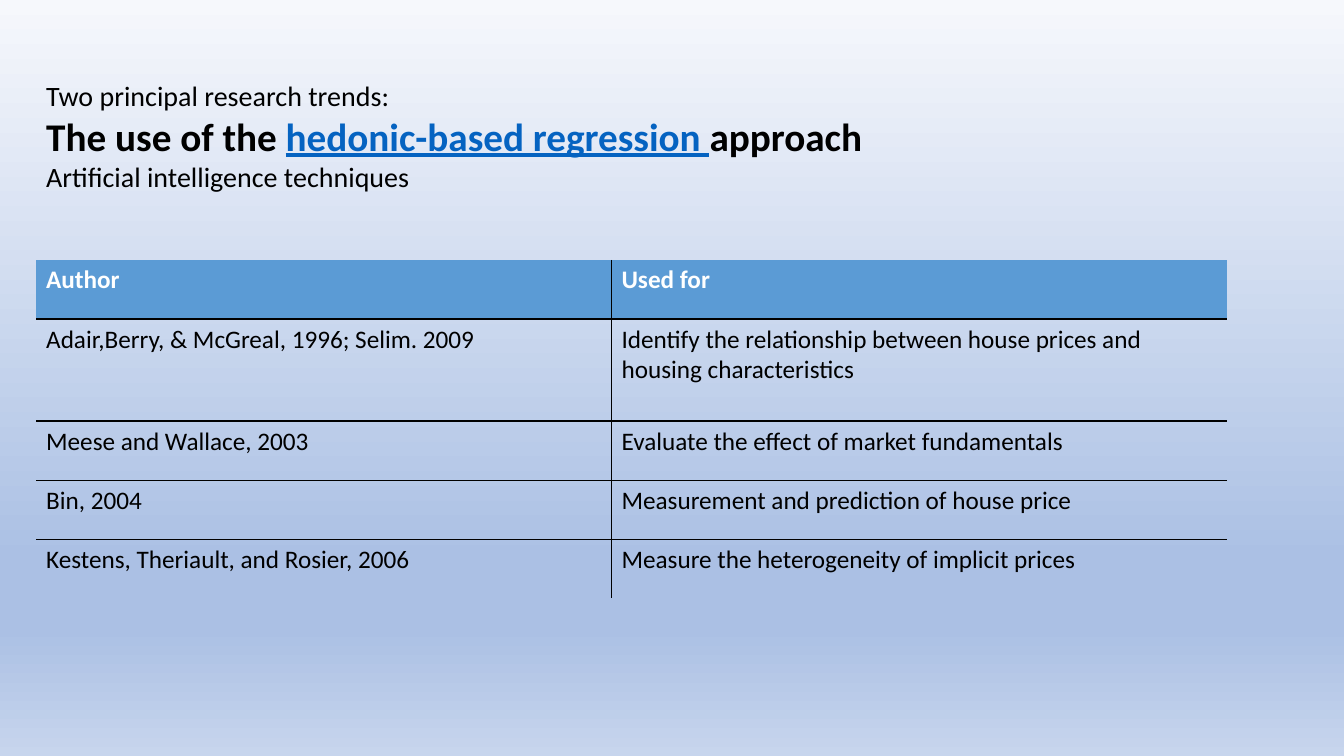
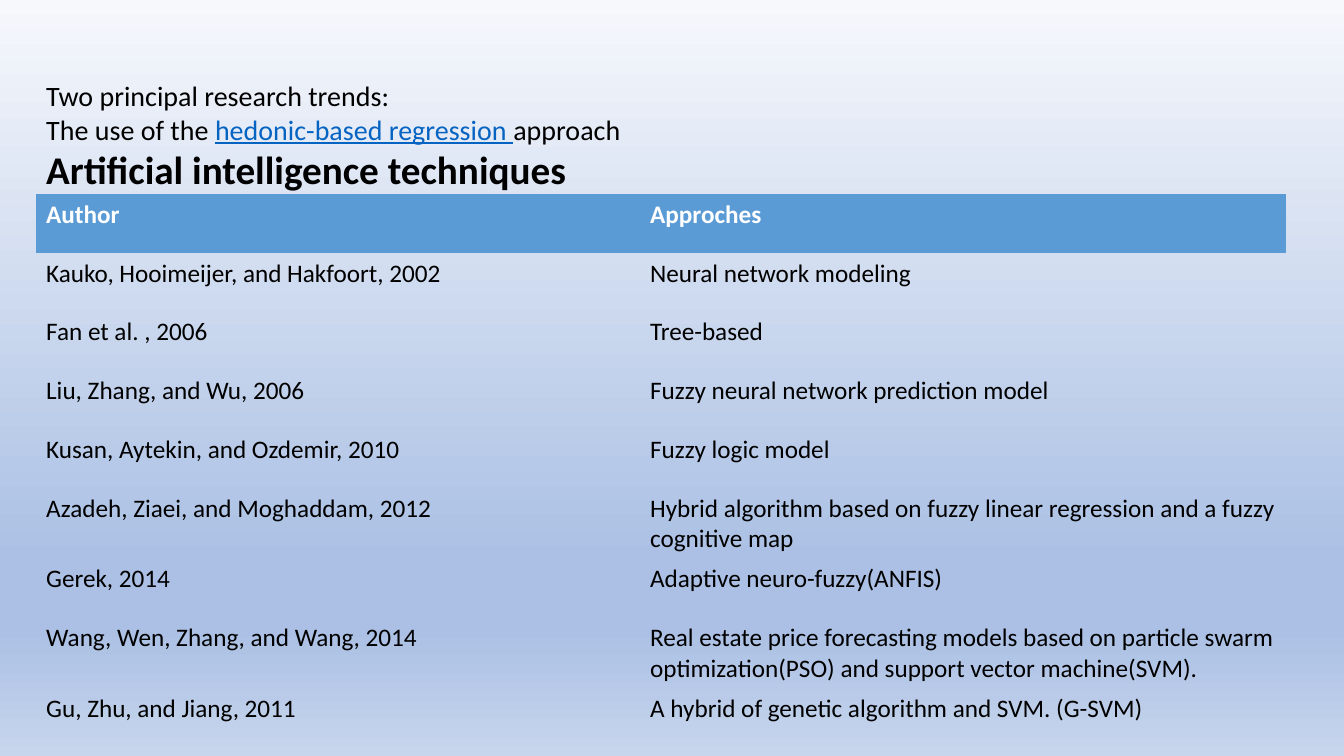
from copy import deepcopy

from lxml.etree import SubElement
from pptx import Presentation
from pptx.dml.color import RGBColor
from pptx.enum.text import MSO_ANCHOR, MSO_AUTO_SIZE, PP_ALIGN
from pptx.oxml.ns import qn
from pptx.util import Cm, Pt

# Shared style
FONT = "Calibri"
BLACK, WHITE, LINK_BLUE, HEADER_BLUE = "000000", "FFFFFF", "0563C1", "5B9BD5"
BACKGROUND_STOPS = [(0, "F6F8FC"), (0.74, "ABC0E4"), (0.83, "ABC0E4"), (1, "C7D5ED")]
NO_GRID_STYLE = "{2D5ABB26-0587-4C30-8999-92F81FD0307C}"
LEFT = 0.91

# Heading lines: runs of (text, shown as a link)
TRENDS = [
    [("Two principal research trends:", False)],
    [("The use of the ", False), ("hedonic-based regression ", True), ("approach", False)],
    [("Artificial intelligence techniques", False)],
]
HEDONIC, INTELLIGENCE = 1, 2

HEDONIC_STUDIES = [
    ("Author", "Used for"),
    ("Adair,Berry, & McGreal, 1996; Selim. 2009",
     "Identify the relationship between house prices and housing characteristics"),
    ("Meese and Wallace, 2003", "Evaluate the effect of market fundamentals"),
    ("Bin, 2004", "Measurement and prediction of house price"),
    ("Kestens, Theriault, and Rosier, 2006", "Measure the heterogeneity of implicit prices"),
]
INTELLIGENCE_STUDIES = [
    ("Author", "Approches"),
    ("Kauko, Hooimeijer, and Hakfoort, 2002", "Neural network modeling"),
    ("Fan et al. , 2006", "Tree-based"),
    ("Liu, Zhang, and Wu, 2006", "Fuzzy neural network prediction model"),
    ("Kusan, Aytekin, and Ozdemir, 2010", "Fuzzy logic model"),
    ("Azadeh, Ziaei, and Moghaddam, 2012",
     "Hybrid algorithm based on fuzzy linear regression and a fuzzy cognitive map"),
    ("Gerek, 2014", "Adaptive neuro-fuzzy(ANFIS)"),
    ("Wang, Wen, Zhang, and Wang, 2014",
     "Real estate price forecasting models based on particle swarm "
     "optimization(PSO) and support vector machine(SVM)."),
    ("Gu, Zhu, and Jiang, 2011", "A hybrid of genetic algorithm and SVM. (G-SVM)"),
]


def color(hex_code):
    return RGBColor.from_string(hex_code)


def format_run(run, size, hex_code=BLACK, bold=False, underline=False):
    font = run.font
    font.name, font.size = FONT, Pt(size)
    font.bold, font.underline = bold, underline
    font.color.rgb = color(hex_code)


def set_background(master):
    """Give every slide the same vertical gradient."""
    fill = master.background.fill
    fill.gradient()
    fill.gradient_angle = 270
    stop_list = master.element.find(".//" + qn("a:gsLst"))
    while len(stop_list) < len(BACKGROUND_STOPS):
        stop_list.append(deepcopy(stop_list[0]))
    for stop, (position, hex_code) in zip(fill.gradient_stops, BACKGROUND_STOPS):
        stop.position = position
        stop.color.rgb = color(hex_code)


def add_heading(slide, current_trend):
    """List the trends, with the current one large and bold."""
    heading = slide.shapes.title
    heading.left, heading.top = Cm(LEFT), Cm(1.85)
    heading.width, heading.height = Cm(26.92), Cm(3.18)
    frame = heading.text_frame
    frame.word_wrap = True
    frame.auto_size = MSO_AUTO_SIZE.SHAPE_TO_FIT_TEXT
    frame.vertical_anchor = MSO_ANCHOR.TOP
    for index, parts in enumerate(TRENDS):
        line = frame.paragraphs[0] if index == 0 else frame.add_paragraph()
        line.alignment = PP_ALIGN.LEFT
        current = index == current_trend
        for text, linked in parts:
            run = line.add_run()
            run.text = text
            format_run(run, 28 if current else 20,
                       LINK_BLUE if linked else BLACK, current, linked)


def add_border(cell, side):
    line = SubElement(cell._tc.get_or_add_tcPr(), qn("a:ln" + side), w=str(Pt(1)))
    fill = SubElement(line, qn("a:solidFill"))
    SubElement(fill, qn("a:srgbClr"), val=BLACK)


def add_inner_borders(table):
    last_row, last_column = len(table.rows) - 1, len(table.columns) - 1
    for r in range(last_row + 1):
        for c in range(last_column + 1):
            inner = {"L": c > 0, "R": c < last_column, "T": r > 0, "B": r < last_row}
            for side, shown in inner.items():
                if shown:
                    add_border(table.cell(r, c), side)


def add_studies(slide, studies, top, widths, heights, ruled=False):
    frame = slide.shapes.add_table(len(studies), len(widths), Cm(LEFT), Cm(top),
                                   Cm(sum(widths)), Cm(sum(heights)))
    table = frame.table
    table.horz_banding = False
    table._tbl.tblPr.find(qn("a:tableStyleId")).text = NO_GRID_STYLE
    for column, width in zip(table.columns, widths):
        column.width = Cm(width)
    for row, height in zip(table.rows, heights):
        row.height = Cm(height)
    if ruled:
        add_inner_borders(table)
    for r, study in enumerate(studies):
        header = r == 0
        for cell, text in zip(table.rows[r].cells, study):
            cell.text_frame.text = text
            format_run(cell.text_frame.paragraphs[0].runs[0], 18,
                       WHITE if header else BLACK, header)
            if header:
                cell.fill.solid()
                cell.fill.fore_color.rgb = color(HEADER_BLUE)
            else:
                cell.fill.background()


def main():
    prs = Presentation()
    prs.slide_width, prs.slide_height = Cm(33.87), Cm(19.05)
    set_background(prs.slide_master)
    title_only = prs.slide_layouts[5]

    # Hedonic regression
    slide = prs.slides.add_slide(title_only)
    add_heading(slide, HEDONIC)
    add_studies(slide, HEDONIC_STUDIES, 6.55, (14.5, 15.5),
                [1.49, 2.57] + [1.49] * 3, ruled=True)

    # Artificial intelligence
    slide = prs.slides.add_slide(title_only)
    add_heading(slide, INTELLIGENCE)
    add_studies(slide, INTELLIGENCE_STUDIES, 4.9, (15.22, 16.27),
                [1.48] * len(INTELLIGENCE_STUDIES))

    prs.save("out.pptx")


if __name__ == "__main__":
    main()
